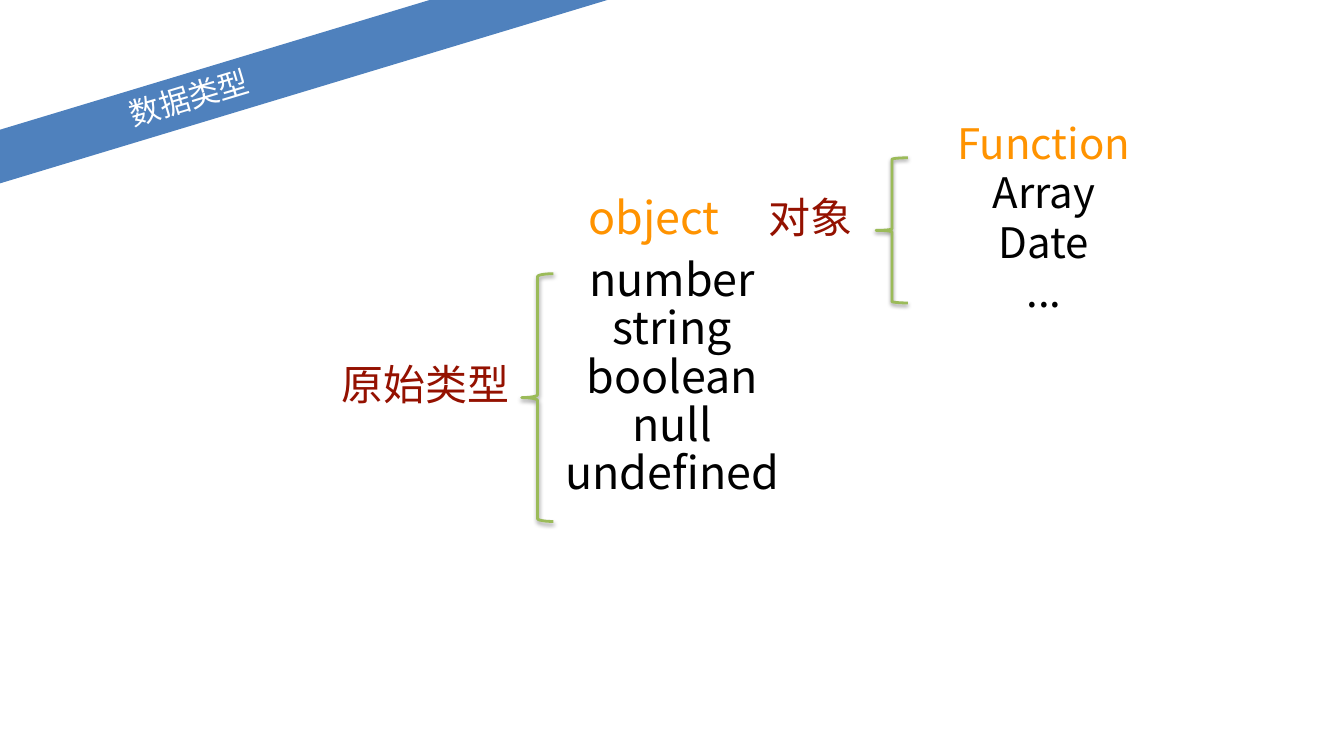
from lxml.etree import SubElement
from pptx import Presentation
from pptx.dml.color import RGBColor
from pptx.enum.shapes import MSO_SHAPE
from pptx.enum.text import MSO_ANCHOR, MSO_AUTO_SIZE, PP_ALIGN
from pptx.oxml.ns import qn
from pptx.util import Pt

FONT = "Noto Sans CJK SC"
BLACK, ORANGE, RED = "000000", "FF9300", "941100"
WHITE, BLUE, GREEN = "FFFFFF", "4F81BD", "9BBB59"


def color(hex_code):
    """Turn a hex string into a colour."""
    return RGBColor.from_string(hex_code)


def place(shape, left, top, width, height):
    """Move and size a shape, in points."""
    shape.left, shape.top = Pt(left), Pt(top)
    shape.width, shape.height = Pt(width), Pt(height)


def write(frame, lines, size, hex_code, wrap=True):
    """Write centred lines, one paragraph each, without margins."""
    frame.margin_left = frame.margin_right = 0
    frame.margin_top = frame.margin_bottom = 0
    frame.word_wrap = wrap
    for index, line in enumerate(lines):
        paragraph = frame.add_paragraph() if index else frame.paragraphs[0]
        paragraph.alignment = PP_ALIGN.CENTER
        paragraph.line_spacing = 0.9
        paragraph.space_before = Pt(0)
        run = paragraph.add_run()
        run.text = line
        run.font.size = Pt(size)
        run.font.name = FONT
        run.font.color.rgb = color(hex_code)
        SubElement(run.font._element, qn("a:ea"), typeface=FONT)


def add_label(slide, box, lines, size, hex_code, wrap=True):
    """Add a text box that grows with its text."""
    label = slide.shapes.add_textbox(*map(Pt, box))
    write(label.text_frame, lines, size, hex_code, wrap)
    label.text_frame.auto_size = MSO_AUTO_SIZE.SHAPE_TO_FIT_TEXT


def add_brace(slide, left, top, height, curve):
    """Add a green left brace with a soft shadow below it."""
    brace = slide.shapes.add_shape(
        MSO_SHAPE.LEFT_BRACE, Pt(left), Pt(top), Pt(45.4), Pt(height))
    brace.adjustments[0] = curve
    brace.fill.background()
    brace.line.color.rgb = color(GREEN)
    brace.line.width = Pt(4)
    brace.shadow.inherit = False
    effects = brace._element.spPr.find(qn("a:effectLst"))
    shadow = SubElement(effects, qn("a:outerShdw"), blurRad=str(Pt(6)),
                        dist=str(Pt(3)), dir="5400000", rotWithShape="0")
    tint = SubElement(shadow, qn("a:srgbClr"), val=BLACK)
    SubElement(tint, qn("a:alpha"), val="38000")


def add_ribbon(slide, left, top, width, height):
    """Turn the title into the slanted ribbon across the corner."""
    title = slide.shapes.title
    place(title, left, top, width, height)
    title.rotation = 343.2
    title.fill.solid()
    title.fill.fore_color.rgb = color(BLUE)
    title.text_frame.vertical_anchor = MSO_ANCHOR.MIDDLE
    title.text_frame.auto_size = MSO_AUTO_SIZE.NONE
    write(title.text_frame, ["数据类型"], 43.8, WHITE)


def add_primitives(slide, left, top):
    """Place the primitive types, their brace and their heading."""
    add_label(slide, (left + 319.7, top, 334.8, 405.4),
              ["number", "string", "boolean", "null", "undefined"], 64, BLACK)
    add_brace(slide, left + 272.2, top + 23, 354, 0.09)
    add_label(slide, (left, top + 152.6, 269.3, 93.6), ["原始类型"], 60, RED)


def add_objects(slide, left, top):
    """Place the object type, its brace and the kinds of object."""
    add_label(slide, (left, top + 103.7, 206.6, 99.4),
              ["object"], 64, ORANGE, wrap=False)
    add_label(slide, (left + 192.2, top + 105.8, 269.3, 93.6),
              ["对象"], 60, RED)
    add_brace(slide, left + 420.5, top + 49, 207.4, 0.05)
    center, row_pitch = left + 660.2, 70.3
    kinds = [("Function", 265, ORANGE), ("Array", 168.5, BLACK),
             ("Date", 150.5, BLACK), ("...", 59, BLACK)]
    for row, (kind, width, hex_code) in enumerate(kinds):
        box = (center - width / 2, top + row * row_pitch, width, 93.6)
        add_label(slide, box, [kind], 60, hex_code, wrap=False)


def build():
    """Build the data type slide and save it."""
    deck = Presentation()
    deck.slide_width, deck.slide_height = Pt(1920), Pt(1080)
    slide = deck.slides.add_slide(deck.slide_layouts[5])
    add_ribbon(slide, -383.8, 105.1, 1309.7, 73.4)
    add_primitives(slide, 473, 368)
    add_objects(slide, 831, 176.4)
    deck.save("out.pptx")


build()
